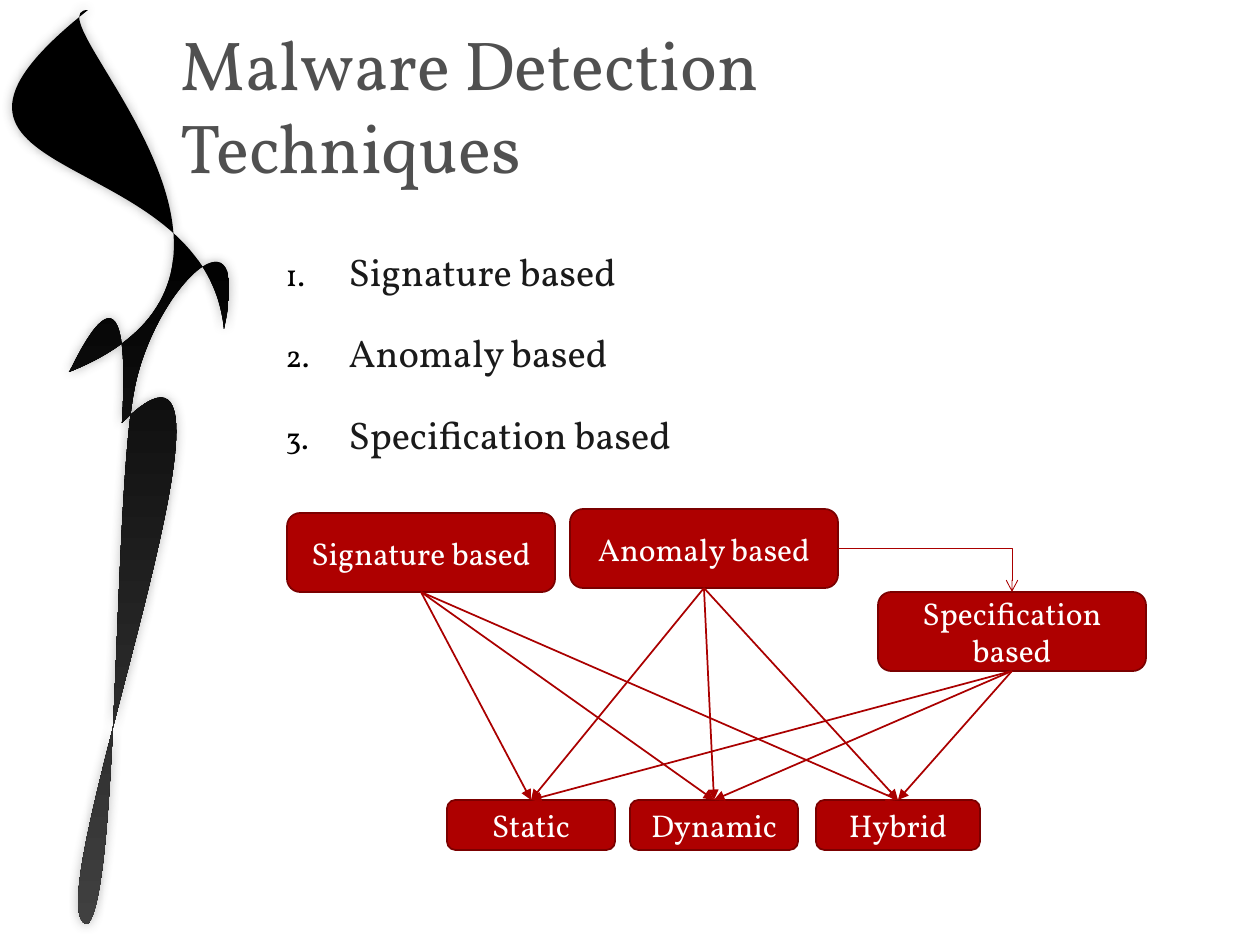
from lxml.etree import SubElement
from pptx import Presentation
from pptx.dml.color import RGBColor
from pptx.enum.shapes import MSO_CONNECTOR, MSO_SHAPE
from pptx.enum.text import MSO_ANCHOR, MSO_AUTO_SIZE, PP_ALIGN
from pptx.oxml.ns import qn
from pptx.util import Pt

SCALE = 914400 / 126
FONT = "Vollkorn"
COLORS = {
    "title": "505050", "body": "1A1A1A", "number": "000000",
    "box": "AE0000", "edge": "7B0000", "arrow": "AA0000", "label": "FFFFFF",
    "dark": "000000", "light": "404040",
}


def px(n):
    return round(n * SCALE)


def color(name):
    return RGBColor.from_string(COLORS[name])


class Deck:
    def __init__(self, wide, high):
        self.prs = Presentation()
        self.prs.slide_width, self.prs.slide_height = px(wide), px(high)
        self.slide = self.prs.slides.add_slide(self.prs.slide_layouts[1])
        self.shapes = self.slide.shapes

    def style(self, para, size, tone, align):
        para.alignment = align
        for run in para.runs:
            run.font.name, run.font.size = FONT, Pt(size)
            run.font.color.rgb = color(tone)

    def place(self, holder, left, top, wide, high, text):
        holder.left, holder.top = px(left), px(top)
        holder.width, holder.height = px(wide), px(high)
        frame = holder.text_frame
        frame.text = text
        frame.word_wrap, frame.auto_size = True, MSO_AUTO_SIZE.NONE
        return frame

    def title(self, text, *area):
        frame = self.place(self.shapes.title, *area, text)
        frame.vertical_anchor = MSO_ANCHOR.MIDDLE
        self.style(frame.paragraphs[0], 39.6, "title", PP_ALIGN.LEFT)

    def numbers(self, items, *area):
        frame = self.place(self.slide.placeholders[1], *area, "\n".join(items))
        frame.vertical_anchor = MSO_ANCHOR.TOP
        for para in frame.paragraphs:
            self.style(para, 22, "body", PP_ALIGN.LEFT)
            para.space_before = Pt(20)
            props = para._p.get_or_add_pPr()
            props.set("marL", str(px(63)))
            props.set("indent", str(px(-63)))
            tint = SubElement(props, qn("a:buClr"))
            SubElement(tint, qn("a:srgbClr"), val=COLORS["number"])
            SubElement(props, qn("a:buSzPct"), val="80000")
            SubElement(props, qn("a:buFont"), typeface=FONT)
            SubElement(props, qn("a:buAutoNum"), type="arabicPeriod")

    def box(self, text, left, top, wide, high):
        shape = self.shapes.add_shape(
            MSO_SHAPE.ROUNDED_RECTANGLE, px(left), px(top), px(wide), px(high))
        shape.shadow.inherit = False
        shape.fill.solid()
        shape.fill.fore_color.rgb = color("box")
        shape.line.color.rgb = color("edge")
        shape.line.width = Pt(1)
        frame = shape.text_frame
        frame.text = text
        frame.word_wrap, frame.vertical_anchor = True, MSO_ANCHOR.MIDDLE
        self.style(frame.paragraphs[0], 18, "label", PP_ALIGN.CENTER)
        return shape

    def arrow(self, start, end, head="triangle", width=1, side=2,
              kind=MSO_CONNECTOR.STRAIGHT):
        link = self.shapes.add_connector(kind, 0, 0, 0, 0)
        link.begin_connect(start, side)
        link.end_connect(end, 0)
        link.line.color.rgb = color("arrow")
        link.line.width = Pt(width)
        props = link.element.spPr
        SubElement(props.find(qn("a:ln")), qn("a:tailEnd"), type=head)
        SubElement(props, qn("a:effectLst"))
        return link

    def elbow(self, start, end):
        link = self.arrow(start, end, "arrow", 0.5, 3, MSO_CONNECTOR.ELBOW)
        link.element.spPr.find(qn("a:prstGeom")).set("prst", "bentConnector2")

    def ribbon(self, start, points):
        pen = self.shapes.build_freeform(*start, scale=SCALE)
        pen.add_line_segments(points, close=True)
        shape = pen.convert_to_shape()
        shape.line.fill.background()
        # Each three points make one cubic curve
        route = shape.element.spPr.find(".//" + qn("a:path"))
        lines = route.findall(qn("a:lnTo"))
        for i in range(0, len(lines), 3):
            curve = SubElement(route, qn("a:cubicBezTo"))
            lines[i].addprevious(curve)
            for line in lines[i:i + 3]:
                curve.append(line[0])
                route.remove(line)
        # Vertical gradient and soft shadow
        shape.fill.gradient()
        shape.fill.gradient_angle = 270
        stops = zip(shape.fill.gradient_stops, ("dark", "light"), (0.25, 1))
        for stop, tone, spot in stops:
            stop.color.rgb, stop.position = color(tone), spot
        shape.shadow.inherit = False
        glow = SubElement(shape.element.spPr.find(qn("a:effectLst")),
                          qn("a:outerShdw"), blurRad=str(Pt(6)), dist="0")
        tint = SubElement(glow, qn("a:srgbClr"), val=COLORS["light"])
        SubElement(tint, qn("a:alpha"), val="40000")
        # Behind all other shapes
        shape.element.getparent().insert(2, shape.element)


def main():
    deck = Deck(1260, 945)

    # Ribbon at the left edge
    deck.ribbon((122, 423), [
        (134, 222), (71, 372), (69, 372),
        (324, 271), (26, 10), (88, 10),
        (-136, 188), (205, 140), (224, 329),
        (253, 198), (159, 282), (136, 382),
        (113, 480), (120, 887), (88, 924),
        (26, 924), (284, 261), (122, 423),
    ])

    # Title and list
    names = ["Signature based", "Anomaly based", "Specification based"]
    deck.title("Malware Detection Techniques", 168, 10, 937, 189)
    deck.numbers(names, 273, 242, 426, 251)

    # Techniques above, kinds of analysis below
    spots = [(287, 513), (570, 509), (878, 592)]
    tops = [deck.box(name, *spot, 268, 79) for name, spot in zip(names, spots)]
    kinds = [("Static", 447, 168), ("Dynamic", 630, 168), ("Hybrid", 816, 164)]
    lows = [deck.box(name, left, 800, wide, 50) for name, left, wide in kinds]

    # Every technique leads to every kind
    for top in tops:
        for low in lows:
            last = top is tops[0] and low is lows[2]
            deck.arrow(top, low, "arrow" if last else "triangle")
    deck.elbow(tops[1], tops[2])

    deck.prs.save("out.pptx")


if __name__ == "__main__":
    main()
